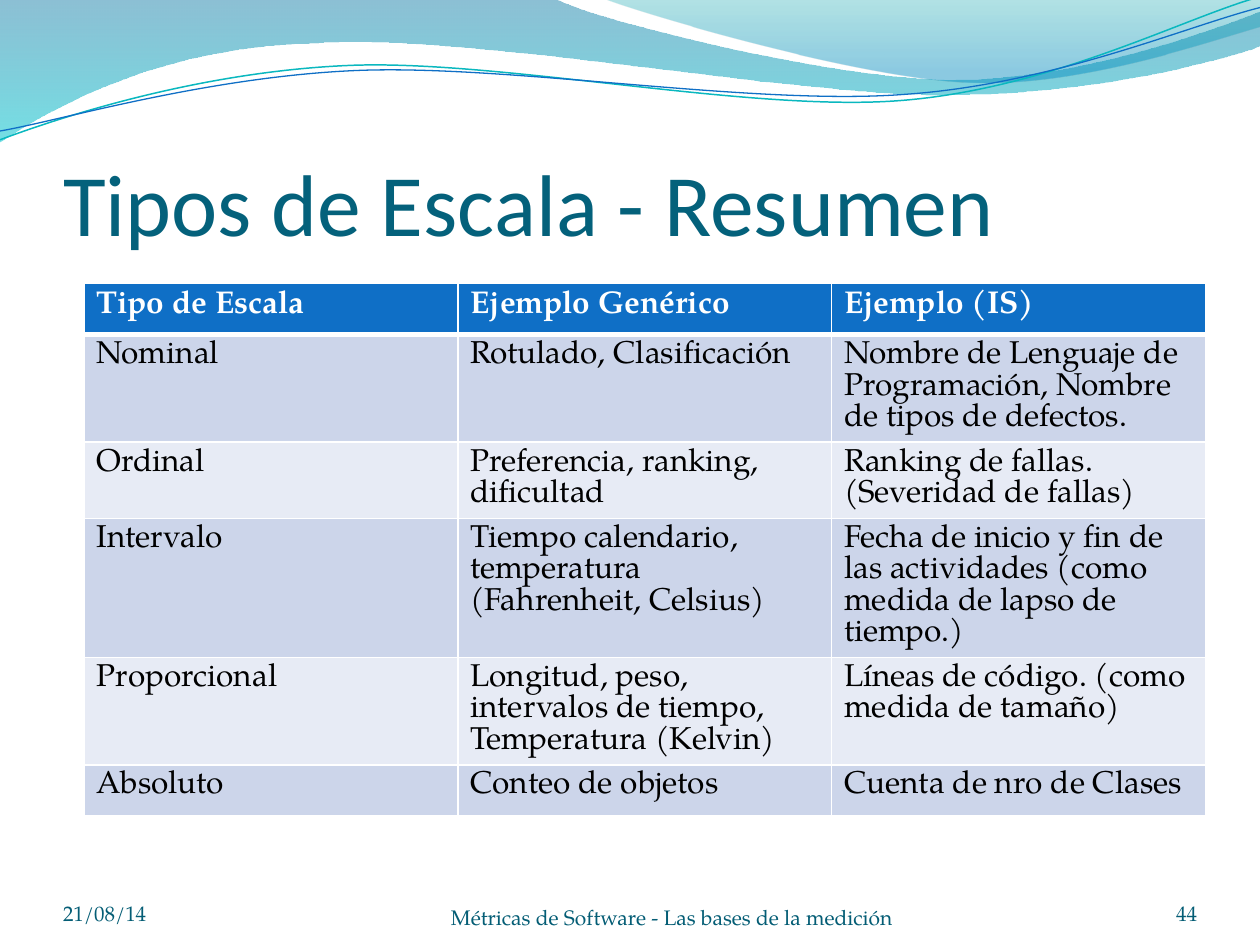
from lxml.etree import SubElement
from pptx import Presentation
from pptx.dml.color import RGBColor
from pptx.enum.text import MSO_ANCHOR as Anchor, PP_ALIGN as Align
from pptx.oxml.ns import qn
from pptx.util import Pt

COLORS = {
    "title": "04617B", "footer": "045D75", "header": "0F6FC6",
    "band_dark": "CCD5EA", "band_light": "E7EBF5",
    "white": "FFFFFF", "black": "000000",
    "wave_blue": "0074A1", "wave_cyan": "00C6CF",
    "crest_teal": "00A1A9", "crest_blue": "008BBF",
    "line_teal": "0AB8BF", "line_blue": "0F6FC6",
}
BODY_FONT = "TeX Gyre Pagella"


def add_run(paragraph, text, font_name, size, color, bold=False):
    run = paragraph.add_run()
    run.text = text
    run.font.name = font_name
    run.font.size = Pt(size)
    run.font.bold = bold
    run.font.color.rgb = RGBColor.from_string(COLORS[color])


def add_wave(shapes, segments, closed):
    points = [(Pt(segment[i] * 72), Pt(segment[i + 1] * 72))
              for segment in segments for i in range(0, len(segment), 2)]
    builder = shapes.build_freeform(*points[0], scale=1.0)
    builder.add_line_segments(points[1:], close=closed)
    shape = builder.convert_to_shape()
    shape.shadow.inherit = False
    lines = list(shape._element.spPr.iter(qn("a:lnTo")))
    for segment in segments[1:]:
        first = lines.pop(0)
        if len(segment) == 6:
            first.tag = qn("a:cubicBezTo")
            for line in (lines.pop(0), lines.pop(0)):
                first.append(line[0])
                line.getparent().remove(line)
    return shape


presentation = Presentation()
presentation.slide_width, presentation.slide_height = Pt(720), Pt(540)
slide = presentation.slides.add_slide(presentation.slide_layouts[5])

filled_waves = [
    ([(0, 0), (4.4, -0.01), (4.76, 0.17, 6.64, 0.63, 7.58, 0.63),
      (8.53, 0.63, 9.58, 0.26, 10, 0.09), (10.01, 0.36),
      (9.83, 0.44, 8.7, 0.76, 7.46, 0.75), (6.22, 0.75, 3.82, 0.28, 2.57, 0.34),
      (1.29, 0.36, 0.46, 0.83, -0.01, 1.13)],
     [(0, "wave_blue", 45), (1, "wave_cyan", 55)]),
    ([(4.79, -0.01), (5.09, 0.11, 6.82, 0.62, 7.69, 0.65),
      (8.56, 0.69, 9.61, 0.32, 10, 0.21), (10, 0)],
     [(0, "crest_teal", 30), (0.8, "crest_blue", 45)]),
]
for segments, stops in filled_waves:
    wave = add_wave(slide.shapes, segments, True)
    wave.line.fill.background()
    wave.fill.gradient()
    wave.fill.gradient_angle = 270
    for stop, (position, color, _) in zip(wave.fill.gradient_stops, stops):
        stop.position = position
        stop.color.rgb = RGBColor.from_string(COLORS[color])
    for element, (_, _, opacity) in zip(wave._element.spPr.iter(qn("a:srgbClr")), stops):
        SubElement(element, qn("a:alpha"), val=str(opacity * 1000))

line_waves = [
    ([(0, 1.11), (0.48, 0.93, 1.58, 0.57, 2.77, 0.52),
      (3.95, 0.47, 5.93, 0.89, 7.13, 0.8), (8.33, 0.71, 9.38, 0.15, 9.98, -0.02)],
     "line_teal", 0.85),
    ([(0, 1.04), (0.47, 0.96, 1.64, 0.61, 2.83, 0.56),
      (4.03, 0.51, 5.97, 0.84, 7.17, 0.75), (8.36, 0.67, 9.41, 0.21, 10, 0.06)],
     "line_blue", 0.75),
]
for segments, color, width in line_waves:
    wave = add_wave(slide.shapes, segments, False)
    wave.fill.background()
    wave.line.color.rgb = RGBColor.from_string(COLORS[color])
    wave.line.width = Pt(width)

title = slide.shapes.title
title.left, title.top, title.width, title.height = Pt(36), Pt(55), Pt(648), Pt(90)
frame = title.text_frame
frame.vertical_anchor = Anchor.BOTTOM
frame.margin_left = frame.margin_right = frame.margin_bottom = 0
frame.margin_top = Pt(3.6)
frame.paragraphs[0].alignment = Align.LEFT
add_run(frame.paragraphs[0], "Tipos de Escala - Resumen", "Calibri", 50, "title")

scale_rows = [
    (1, "Tipo de Escala", "Ejemplo Genérico", "Ejemplo (IS)"),
    (3, "Nominal", "Rotulado, Clasificación",
     "Nombre de Lenguaje de Programación, Nombre de tipos de defectos."),
    (2, "Ordinal", "Preferencia, ranking, dificultad",
     "Ranking de fallas. (Severidad de fallas)"),
    (4, "Intervalo", "Tiempo calendario, temperatura (Fahrenheit, Celsius)",
     "Fecha de inicio y fin de las actividades (como medida de lapso de tiempo.)"),
    (3, "Proporcional", "Longitud, peso, intervalos de tiempo, Temperatura (Kelvin)",
     "Líneas de código. (como medida de tamaño)"),
    (1, "Absoluto", "Conteo de objetos", "Cuenta de nro de Clases"),
]
heights = [max(29.2, 18 * lines + 7.5) for lines, *_ in scale_rows]
table = slide.shapes.add_table(len(scale_rows), 3, Pt(48), Pt(162),
                               Pt(640.8), Pt(sum(heights))).table
for column in table.columns:
    column.width = Pt(213.6)
for row_index, (_, *texts) in enumerate(scale_rows):
    table.rows[row_index].height = Pt(heights[row_index])
    is_header = row_index == 0
    fill = "header" if is_header else "band_dark" if row_index % 2 else "band_light"
    for column_index, text in enumerate(texts):
        cell = table.cell(row_index, column_index)
        properties = cell._tc.get_or_add_tcPr()
        for side in ("lnL", "lnR", "lnT", "lnB"):
            thick = (row_index, side) in ((0, "lnB"), (1, "lnT"))
            border = SubElement(properties, qn(f"a:{side}"), w=str(Pt(3 if thick else 1)))
            solid = SubElement(border, qn("a:solidFill"))
            SubElement(solid, qn("a:srgbClr"), val=COLORS["white"])
        cell.fill.solid()
        cell.fill.fore_color.rgb = RGBColor.from_string(COLORS[fill])
        paragraph = cell.text_frame.paragraphs[0]
        paragraph.line_spacing = Pt(18)
        add_run(paragraph, text, BODY_FONT, 18, "white" if is_header else "black", is_header)

footers = [
    ("21/08/14", 36, 500.4, 168, Align.LEFT),
    ("Métricas de Software - Las bases de la medición", 252, 502.6, 264, Align.CENTER),
    ("44", 624, 500.4, 60, Align.RIGHT),
]
for text, left, top, width, alignment in footers:
    box = slide.shapes.add_textbox(Pt(left), Pt(top), Pt(width), Pt(28.8))
    frame = box.text_frame
    frame.word_wrap = True
    frame.vertical_anchor = Anchor.BOTTOM
    frame.margin_left = frame.margin_right = frame.margin_top = frame.margin_bottom = 0
    frame.paragraphs[0].alignment = alignment
    add_run(frame.paragraphs[0], text, BODY_FONT, 12, "footer")

presentation.save("out.pptx")
